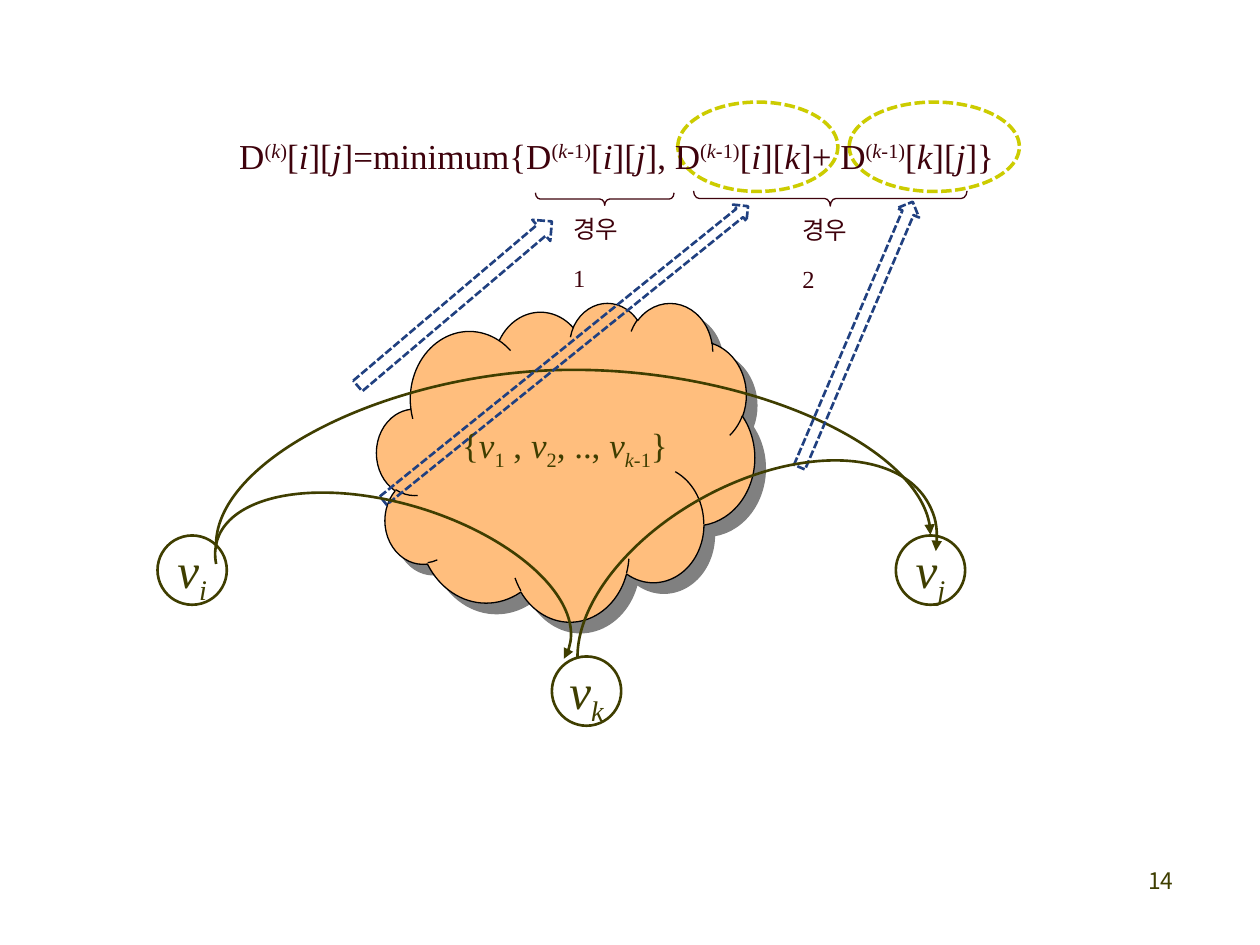
from dataclasses import dataclass

from lxml import etree
from pptx import Presentation
from pptx.dml.color import RGBColor
from pptx.enum.dml import MSO_LINE
from pptx.enum.shapes import MSO_CONNECTOR, MSO_SHAPE
from pptx.enum.text import MSO_ANCHOR, PP_ALIGN
from pptx.oxml.ns import qn
from pptx.util import Inches, Pt

CLOUD, ELLIPSE, ARC = MSO_SHAPE.CLOUD, MSO_SHAPE.OVAL, MSO_SHAPE.ARC
BLOCK_ARROW, BRACE = MSO_SHAPE.RIGHT_ARROW, MSO_SHAPE.LEFT_BRACE
CURVE, DASHED = MSO_CONNECTOR.CURVE, MSO_LINE.SQUARE_DOT
LEFT, CENTER, RIGHT = PP_ALIGN.LEFT, PP_ALIGN.CENTER, PP_ALIGN.RIGHT
MIDDLE = MSO_ANCHOR.MIDDLE
SUPERSCRIPT, SUBSCRIPT = 30000, -25000


@dataclass(frozen=True)
class Theme:
    """Colours, fonts and type sizes of the slide."""
    olive: RGBColor = RGBColor(0x3F, 0x3E, 0x00)
    maroon: RGBColor = RGBColor(0x3E, 0x02, 0x0C)
    navy: RGBColor = RGBColor(0x20, 0x40, 0x80)
    lime: RGBColor = RGBColor(0xCC, 0xCC, 0x00)
    peach: RGBColor = RGBColor(0xFF, 0xBE, 0x7D)
    black: RGBColor = RGBColor(0, 0, 0)
    shadow: str = "808080"
    serif: str = "Times New Roman"
    sans: str = "Noto Sans CJK KR"
    node_size: int = 28
    formula_size: int = 20
    label_size: int = 14
    page_size: int = 13


THEME = Theme()


@dataclass(frozen=True)
class Box:
    """A region in inches whose parts are placed from its top left corner."""
    left: float
    top: float
    width: float
    height: float

    def point(self, x, y):
        """Return a slide position for an offset in the region."""
        return Inches(self.left + x), Inches(self.top + y)

    def place(self, x, y, width, height):
        """Return the slide frame for a part of the region."""
        return *self.point(x, y), Inches(width), Inches(height)


def add_outline(slide, kind, frame, color, width, rotation=0, adjustments=()):
    """Add an unfilled preset shape with a coloured line."""
    shape = slide.shapes.add_shape(kind, *frame)
    shape.shadow.inherit = False
    shape.fill.background()
    shape.line.color.rgb = color
    shape.line.width = Pt(width)
    shape.rotation = rotation
    for index, value in enumerate(adjustments):
        shape.adjustments[index] = value
    return shape


def add_arrowhead(shape):
    """Put a triangle at the end of a line."""
    line = shape.line._get_or_add_ln()
    etree.SubElement(line, qn("a:tailEnd"), type="triangle")


def write_runs(paragraph, parts, size, color, font_name=THEME.serif):
    """Write parts given as text, italic and baseline into a paragraph."""
    for text, italic, baseline in parts:
        run = paragraph.add_run()
        run.text = text
        run.font.name = font_name
        run.font.size = Pt(size)
        run.font.color.rgb = color
        run.font.italic = italic
        properties = run._r.get_or_add_rPr()
        if baseline:
            properties.set("baseline", str(baseline))
        etree.SubElement(properties, qn("a:ea"), typeface=THEME.sans)


def add_text(slide, frame, parts, size, color, spacing=Pt(28), align=LEFT, font_name=THEME.serif):
    """Add a wrapped text box with one paragraph."""
    text_frame = slide.shapes.add_textbox(*frame).text_frame
    text_frame.word_wrap = True
    paragraph = text_frame.paragraphs[0]
    paragraph.alignment = align
    paragraph.line_spacing = spacing
    write_runs(paragraph, parts, size, color, font_name)
    return text_frame


def add_cloud(slide, frame):
    """Add the cloud of intermediate vertices with its hard shadow."""
    cloud = add_outline(slide, CLOUD, frame, THEME.black, 0.75)
    cloud.fill.solid()
    cloud.fill.fore_color.rgb = THEME.peach
    effects = cloud._element.spPr.find(qn("a:effectLst"))
    shadow = etree.SubElement(effects, qn("a:outerShdw"), dist=str(Pt(8.5)), dir="2700000",
                              algn="ctr", rotWithShape="0")
    etree.SubElement(shadow, qn("a:srgbClr"), val=THEME.shadow)


def add_node(slide, frame, index):
    """Add a round vertex named v with an index."""
    text_frame = add_outline(slide, ELLIPSE, frame, THEME.olive, 1.5).text_frame
    text_frame.word_wrap = False
    text_frame.vertical_anchor = MIDDLE
    paragraph = text_frame.paragraphs[0]
    paragraph.alignment = CENTER
    paragraph.line_spacing = 0.9
    parts = [("v", True, 0), (index, True, SUBSCRIPT)]
    write_runs(paragraph, parts, THEME.node_size, THEME.olive)


def add_direct_path(slide, begin, end):
    """Add the curve from vertex i to vertex j, turned a quarter."""
    connector = slide.shapes.add_connector(CURVE, *begin, *end)
    connector.line.color.rgb = THEME.olive
    connector.line.width = Pt(1.5)
    add_arrowhead(connector)
    properties = connector._element.spPr
    etree.SubElement(properties, qn("a:effectLst"))
    properties.find(qn("a:xfrm")).set("rot", "5400000")
    guides = properties.find(qn("a:prstGeom")).find(qn("a:avLst"))
    etree.SubElement(guides, qn("a:gd"), name="adj1", fmla="val 1738800")


def add_graph(slide, box):
    """Add the vertices, the paths between them and the arrows to the formula."""
    add_cloud(slide, box.place(1.74, 0.8, 3, 2.53))
    for index, x, y in (("i", 0, 2.65), ("j", 5.86, 2.65), ("k", 3.13, 3.61)):
        add_node(slide, box.place(x, y, 0.55, 0.55), index)
    add_direct_path(slide, box.point(3.34, 5.52), box.point(3.26, -0.15))
    block_arrows = (
        ((1.35, 0.7, 2.02, 0.22), 319.7),
        ((1.38, 1.12, 3.72, 0.17), 321.1),
        ((4.4, 0.96, 2.29, 0.19), 293.1),
    )
    for frame, rotation in block_arrows:
        arrow = add_outline(slide, BLOCK_ARROW, box.place(*frame), THEME.navy, 1.5, rotation)
        arrow.line.dash_style = DASHED
    arcs = (
        ((0.41, 2.4, 2.92, 1.43), 16.9, (103.64, 2.33)),
        ((3.21, 2.24, 3.1, 1.8), 331.2, (114.16, 8.59)),
    )
    for frame, rotation, angles in arcs:
        add_arrowhead(add_outline(slide, ARC, box.place(*frame), THEME.olive, 1.5, rotation, angles))
    vertices = [
        ("{", False, 0), ("v", True, 0), ("1", False, SUBSCRIPT), (" , ", False, 0),
        ("v", True, 0), ("2", False, SUBSCRIPT), (", ..,", False, 0), (" v", True, 0),
        ("k-", True, SUBSCRIPT), ("1", False, SUBSCRIPT), ("}", False, 0),
    ]
    add_text(slide, box.place(2.32, 1.7, 1.94, 0.49), vertices, THEME.formula_size, THEME.olive)


def distance(lead, step, close, row, column):
    """Return the parts of one matrix entry, with the text that leads to it."""
    return [
        (lead + "D", False, 0), ("(", False, SUPERSCRIPT), (step, True, SUPERSCRIPT),
        (close, False, SUPERSCRIPT), ("[", False, 0), (row, True, 0),
        ("][", False, 0), (column, True, 0),
    ]


def add_formula(slide, box):
    """Add the recurrence with its highlighted terms and labelled cases."""
    for x, width in ((3.58, 1.27), (4.94, 1.35)):
        ring = add_outline(slide, ELLIPSE, box.place(x, 0, width, 0.71), THEME.lime, 2)
        ring.line.dash_style = DASHED
    parts = distance("", "k", ")", "i", "j")
    for lead, row, column in (("]=minimum{", "i", "j"), ("], ", "i", "k"), ("]+ ", "k", "j")):
        parts += distance(lead, "k-", "1)", row, column)
    parts.append(("]}", False, 0))
    add_text(slide, box.place(0, 0.15, 6.4, 0.49), parts, THEME.formula_size, THEME.maroon)
    cases = (
        ("경우1", (2.95, 0.22, 0.1, 1.1), (2.65, 0.68, 0.69, 0.49)),
        ("경우2", (4.73, -0.32, 0.12, 2.17), (4.47, 0.69, 0.69, 0.44)),
    )
    for label, brace, frame in cases:
        add_outline(slide, BRACE, box.place(*brace), THEME.maroon, 0.75, 270, (0.38, 0.5))
        text_frame = add_text(slide, box.place(*frame), [(label, False, 0)],
                              THEME.label_size, THEME.maroon)
        text_frame.margin_right = Inches(0.17)


def add_page_number(slide, box):
    """Add the page number at the right of its box."""
    add_text(slide, box.place(0, 0, box.width, box.height), [("14", False, 0)],
             THEME.page_size, THEME.olive, 1.0, RIGHT, THEME.sans)


def main():
    """Build and save the slide."""
    presentation = Presentation()
    presentation.slide_width = Inches(10)
    presentation.slide_height = Inches(7.5)
    slide = presentation.slides.add_slide(presentation.slide_layouts[6])
    add_graph(slide, Box(1.25, 1.6, 6.41, 4.16))
    add_formula(slide, Box(1.8, 0.81, 6.4, 1.17))
    add_page_number(slide, Box(7.33, 6.83, 2.08, 0.5))
    presentation.save("out.pptx")


if __name__ == "__main__":
    main()
